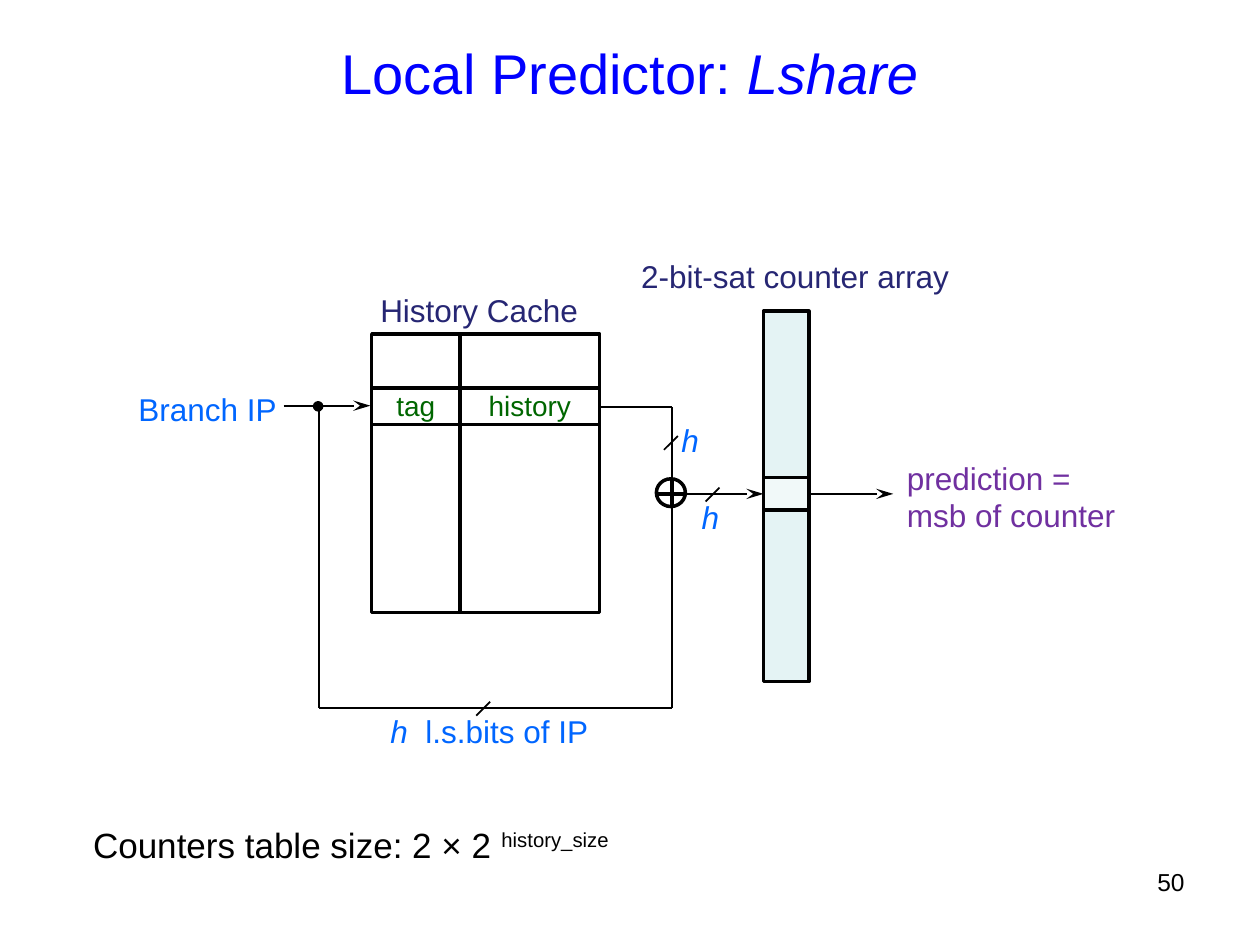
"""Build the slide that explains the Lshare local branch predictor."""
from lxml import etree
from pptx import Presentation
from pptx.dml.color import RGBColor
from pptx.enum.shapes import MSO_CONNECTOR, MSO_SHAPE
from pptx.enum.text import MSO_ANCHOR, MSO_AUTO_SIZE, PP_ALIGN
from pptx.oxml.ns import qn
from pptx.util import Inches, Pt

STRAIGHT = MSO_CONNECTOR.STRAIGHT
RECTANGLE, OVAL = MSO_SHAPE.RECTANGLE, MSO_SHAPE.OVAL
TOP, MIDDLE = MSO_ANCHOR.TOP, MSO_ANCHOR.MIDDLE
LEFT, CENTER, RIGHT = PP_ALIGN.LEFT, PP_ALIGN.CENTER, PP_ALIGN.RIGHT
FIT, FIXED = MSO_AUTO_SIZE.SHAPE_TO_FIT_TEXT, MSO_AUTO_SIZE.NONE
BLACK, WHITE, BLUE, NAVY = "000000", "FFFFFF", "0066FF", "262673"
GREEN, PURPLE, TITLE_BLUE = "006600", "7030A0", "0000FF"
COLUMNS = 100

deck = Presentation()
deck.slide_width, deck.slide_height = Inches(10), Inches(7.5)
cell = deck.slide_width // COLUMNS
page = deck.slides.add_slide(deck.slide_layouts[5])
color = RGBColor.from_string


def write(frame, lines, size, tint, align=LEFT, **settings):
    """Fill a text frame; each line is a list of (text, style) spans."""
    for name, value in settings.items():
        setattr(frame, name, value)
    for index, spans in enumerate(lines):
        para = frame.add_paragraph() if index else frame.paragraphs[0]
        para.alignment = align
        for text, style in spans:
            span = para.add_run()
            span.text = text
            looks = {"name": "Arial", "size": Pt(size), "italic": style == "italic"}
            for name, value in looks.items():
                setattr(span.font, name, value)
            span.font.color.rgb = color(tint)
            if style == "raised":
                span._r.get_or_add_rPr().set("baseline", "30000")


def connect(start, end, width=1, arrow=False):
    """Draw a line between two grid points, with an optional arrowhead at the end."""
    wire = page.shapes.add_connector(STRAIGHT, *(round(place * cell) for place in start + end))
    wire.line.width = Pt(width)
    wire.line.color.rgb = color(BLACK)
    if arrow:
        etree.SubElement(wire.line._get_or_add_ln(), qn("a:tailEnd"), type="stealth", w="med", len="lg")
    etree.SubElement(wire._element.spPr, qn("a:effectLst"))
    return wire


title = page.shapes.title
for name, value in {"left": 5, "top": 3, "width": 90, "height": 5.4}.items():
    setattr(title, name, round(value * cell))
write(title.text_frame, [[("Local Predictor: ", ""), ("Lshare", "italic")]], 32, TITLE_BLUE, CENTER,
      vertical_anchor=MIDDLE, auto_size=FIXED)

boxes = {}
for name, kind, place, fill, width in [
    ("counters", RECTANGLE, (60.6, 24.7, 3.6, 29.4), "E4F3F4", 2),
    ("counter", RECTANGLE, (60.6, 37.9, 3.6, 2.6), "F1F9F9", 2),
    ("cache", RECTANGLE, (29.5, 26.5, 18.1, 22.1), WHITE, 2),
    ("tag", RECTANGLE, (29.7, 31, 6.6, 2.6), None, 0),
    ("history", RECTANGLE, (36.6, 31, 10.9, 2.6), None, 0),
    ("xor", OVAL, (52.1, 38, 2.3, 2.2), None, 2),
    ("branch point", OVAL, (24.9, 31.9, 0.7, 0.7), BLACK, 1),
]:
    box = page.shapes.add_shape(kind, *(round(value * cell) for value in place))
    box.shadow.inherit = False
    if fill:
        box.fill.solid()
        box.fill.fore_color.rgb = color(fill)
    else:
        box.fill.background()
    if width:
        box.line.width = Pt(width)
        box.line.color.rgb = color(BLACK)
    else:
        box.line.fill.background()
    boxes[name] = box

for name in ("tag", "history"):
    write(boxes[name].text_frame, [[(name, "")]], 16, GREEN, CENTER, vertical_anchor=MIDDLE, word_wrap=False,
          margin_left=0, margin_right=0, margin_top=0, margin_bottom=Inches(0.02))

for start, end in [
    ((29.5, 30.8), (47.6, 30.8)),
    ((29.5, 33.7), (47.6, 33.7)),
    ((36.5, 26.5), (36.5, 48.6)),
    ((53.35, 38), (53.35, 40.3)),
    ((52.1, 39.2), (54.4, 39.2)),
]:
    connect(start, end, width=2)

for start, end in [
    ((25.3, 32.2), (25.3, 56.2)),
    ((25.3, 56.2), (53.35, 56.2)),
    ((53.35, 40.3), (53.35, 56.2)),
    ((53.35, 32.3), (53.35, 38)),
]:
    connect(start, end)

for left, top in [(37.8, 55.7), (52.7, 34.6), (56, 38.7)]:
    connect((left + 1.1, top), (left, top + 1.1))

connect((22.5, 32.2), (29.4, 32.2), arrow=True)
connect((47.5, 32.3), (53.35, 32.3)).begin_connect(boxes["history"], 3)
connect((54.4, 39.2), (60.6, 39.2), arrow=True).end_connect(boxes["counter"], 1)
connect((64.2, 39.2), (70.9, 39.2), arrow=True).begin_connect(boxes["counter"], 3)

for place, lines, tint in [
    ((53.1, 32.9, 3.4, 4), [[("h", "italic")]], BLUE),
    ((54.7, 39, 3.4, 4), [[("h", "italic")]], BLUE),
    ((30, 56, 17.9, 4), [[("h", "italic"), ("  l.s.bits of IP", "")]], BLUE),
    ((29.2, 22.6, 19, 4), [[("History Cache", "")]], NAVY),
    ((71, 35.9, 18.7, 7.1), [[("prediction =", "")], [("msb of counter", "")]], PURPLE),
    ((10, 30.5, 13.1, 4), [[("Branch IP", "")]], BLUE),
    ((49.9, 19.9, 28.7, 4), [[("2-bit-sat counter array", "")]], NAVY),
]:
    label = page.shapes.add_textbox(*(round(value * cell) for value in place))
    write(label.text_frame, lines, 18, tint, word_wrap=False, auto_size=FIT)

size_note = page.shapes.add_textbox(*(round(value * cell) for value in (6.4, 64.2, 89.4, 4.7)))
write(size_note.text_frame, [[("Counters table size: 2 × 2 ", ""), ("history_size", "raised")]], 20, BLACK,
      word_wrap=True, auto_size=FIT)
size_note.text_frame.paragraphs[0].line_spacing = 1.2

page_number = page.shapes.add_textbox(*(round(value * cell) for value in (71.7, 68.3, 23.3, 5.2)))
write(page_number.text_frame, [[("50", "")]], 14, BLACK, RIGHT, word_wrap=True, vertical_anchor=TOP)

deck.save("out.pptx")
